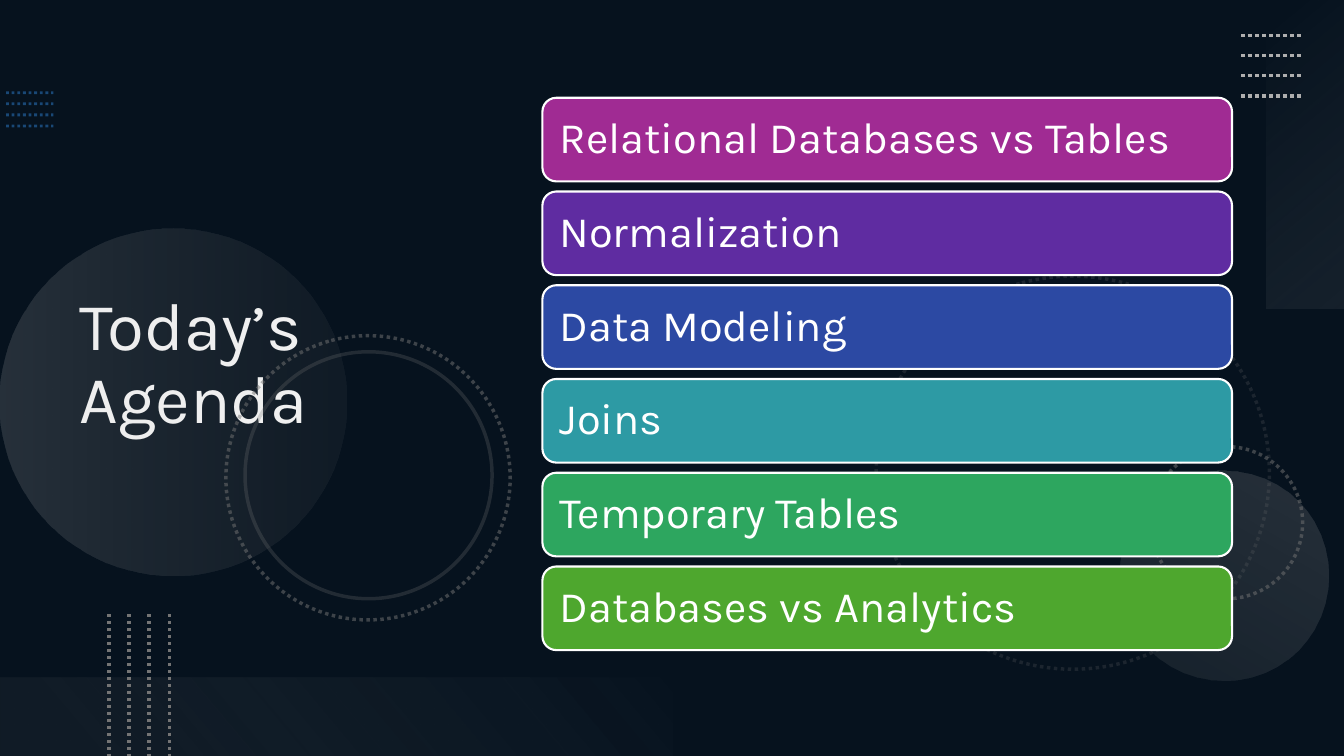
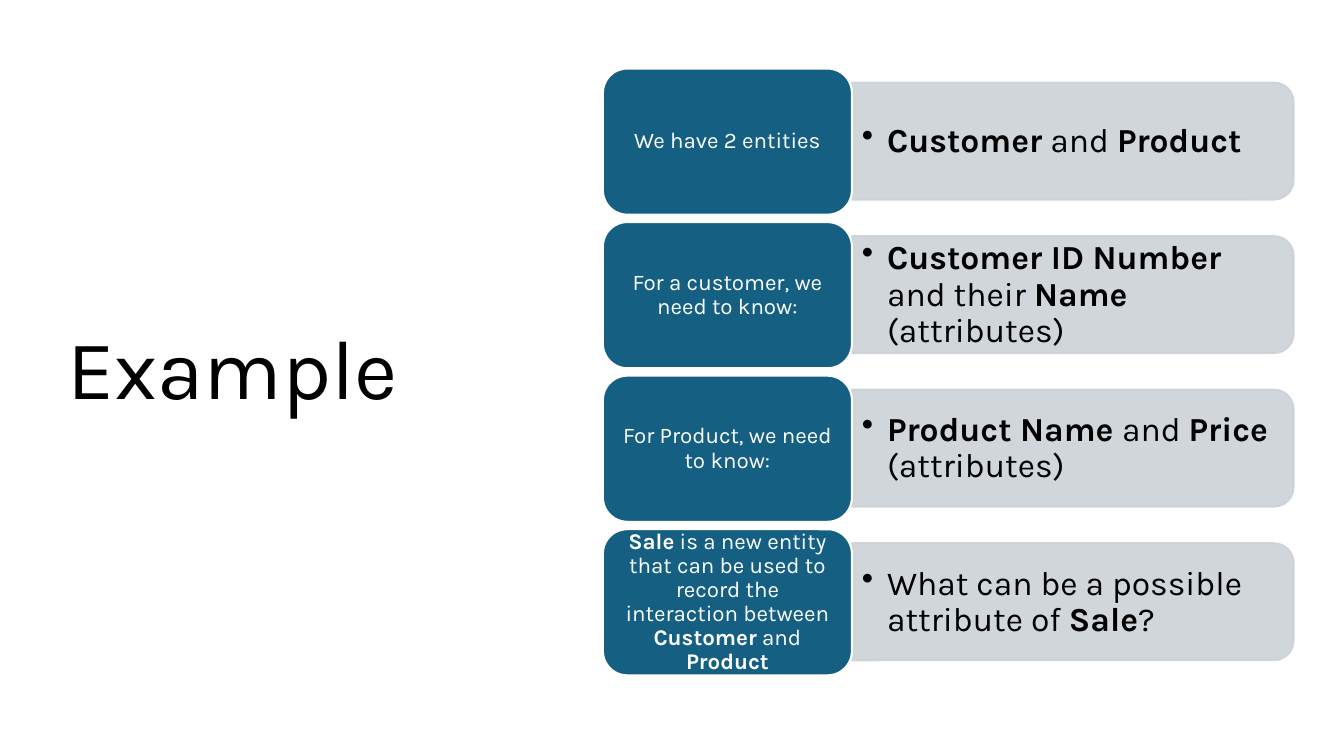
"""Build a dark agenda slide and a light worked-example slide about databases."""
from lxml import etree
from pptx import Presentation
from pptx.dml.color import RGBColor
from pptx.enum.dml import MSO_LINE
from pptx.enum.shapes import MSO_CONNECTOR, MSO_SHAPE
from pptx.enum.text import MSO_ANCHOR, PP_ALIGN
from pptx.oxml.ns import qn
from pptx.util import Inches, Pt

RECTANGLE, ELLIPSE = MSO_SHAPE.RECTANGLE, MSO_SHAPE.OVAL
ROUNDED, ROUNDED_TOP = MSO_SHAPE.ROUNDED_RECTANGLE, MSO_SHAPE.ROUND_2_SAME_RECTANGLE
STRAIGHT, DOTTED, SOLID = MSO_CONNECTOR.STRAIGHT, MSO_LINE.ROUND_DOT, MSO_LINE.SOLID
MIDDLE, LEFT, CENTER = MSO_ANCHOR.MIDDLE, PP_ALIGN.LEFT, PP_ALIGN.CENTER

FONT = "Karla"
WHITE = RGBColor(0xFF, 0xFF, 0xFF)
BLACK = RGBColor(0x00, 0x00, 0x00)
NAVY = RGBColor(0x0E, 0x28, 0x41)
BLUE = RGBColor(0x2D, 0x7F, 0xCF)
GRAY = RGBColor(0x74, 0x74, 0x74)
SILVER = RGBColor(0xAE, 0xAE, 0xAE)
PALE = RGBColor(0xF6, 0xF6, 0xF6)
TEAL = RGBColor(0x15, 0x60, 0x82)
MIST = RGBColor(0xCC, 0xD2, 0xD8)


def set_opacity(shape, *percents):
    """Give the shape's colours, in fill-then-line order, these opacities."""
    colors = shape._element.spPr.iter(qn("a:srgbClr"))
    for color, percent in zip(colors, percents):
        etree.SubElement(color, qn("a:alpha"), val=str(percent * 1000))


def write_text(shape, text, size, color, align=LEFT, margins=(0.1, 0.05), bullet=False):
    """Fill the shape with one paragraph; parts between ** marks are bold."""
    frame = shape.text_frame
    frame.word_wrap = True
    frame.vertical_anchor = MIDDLE
    frame.margin_left = frame.margin_right = Inches(margins[0])
    frame.margin_top = frame.margin_bottom = Inches(margins[1])
    paragraph = frame.paragraphs[0]
    paragraph.alignment = align
    paragraph.line_spacing = 0.9
    if bullet:
        properties = paragraph._p.get_or_add_pPr()
        properties.set("marL", str(Inches(0.25)))
        properties.set("indent", str(-Inches(0.25)))
        etree.SubElement(properties, qn("a:buChar"), char="•")
    paragraph.font.name = FONT
    paragraph.font.size = Pt(size)
    paragraph.font.color.rgb = color
    for index, part in enumerate(text.split("**")):
        if part:
            run = paragraph.add_run()
            run.text = part
            if index % 2:
                run.font.bold = True


presentation = Presentation()
presentation.slide_width = Inches(13.33)
presentation.slide_height = Inches(7.5)
blank = presentation.slide_layouts[6]

titles = [
    ("Today’s Agenda", 48, WHITE, NAVY, (0.69, 0.54, 4.59, 6.17)),
    ("Example", 60, BLACK, WHITE, (0.57, 0.68, 4.16, 6.02)),
]
for title, size, color, background, box in titles:
    slide = presentation.slides.add_slide(blank)
    slide.background.fill.solid()
    slide.background.fill.fore_color.rgb = background
    if background == NAVY:
        shade = slide.shapes.add_shape(RECTANGLE, 0, 0, presentation.slide_width, presentation.slide_height)
        shade.shadow.inherit = False
        shade.fill.solid()
        shade.fill.fore_color.rgb = BLACK
        shade.line.fill.background()
        set_opacity(shade, 53)
    title_box = slide.shapes.add_textbox(*map(Inches, box))
    write_text(title_box, title, size, color)

agenda, example = presentation.slides

glows = [
    (ELLIPSE, (0, 2.27, 3.44, 3.44), 270, 90, (0, SILVER, 20), (1, GRAY, 10)),
    (ELLIPSE, (11.1, 4.67, 2.08, 2.08), 210, 90, (0, SILVER, 10), (1, SILVER, 20)),
    (RECTANGLE, (11.42, 1.14, 3.06, 0.78), 270, 140, (0, PALE, 0), (1, SILVER, 10)),
    (RECTANGLE, (0, 6.72, 6.67, 0.78), 180, 140, (0.1, GRAY, 10), (1, PALE, 0)),
]
for kind, box, rotation, angle, *stops in glows:
    glow = agenda.shapes.add_shape(kind, *map(Inches, box))
    glow.shadow.inherit = False
    glow.rotation = rotation
    glow.fill.gradient()
    glow.fill.gradient_angle = 360 - angle
    for gradient_stop, (position, color, opacity) in zip(glow.fill.gradient_stops, stops):
        gradient_stop.position = position
        gradient_stop.color.rgb = color
    glow.line.fill.background()
    set_opacity(glow, *(opacity for position, color, opacity in stops))

rings = [
    (8.69, 2.74, 3.9, 75, DOTTED, 20),
    (11.41, 4.43, 1.51, 270, DOTTED, 50),
    (2.24, 3.33, 2.82, 75, DOTTED, 50),
    (2.43, 3.49, 2.45, 75, SOLID, 25),
]
for left, top, diameter, rotation, dash, opacity in rings:
    ring = agenda.shapes.add_shape(ELLIPSE, *map(Inches, (left, top, diameter, diameter)))
    ring.shadow.inherit = False
    ring.rotation = rotation
    ring.fill.background()
    ring.line.color.rgb = GRAY
    ring.line.width = Pt(2.5)
    ring.line.dash_style = dash
    set_opacity(ring, opacity)

dotted_groups = [
    ((0.06, 0.92, 0.53, 0.92), (0, 0.11), BLUE, 2, 50),
    ((12.31, 0.35, 12.91, 0.35), (0, 0.2), SILVER, 2.5, 100),
    ((1.08, 6.09, 1.08, 7.5), (0.2, 0), GRAY, 2.5, 100),
]
for ends, step, color, width, opacity in dotted_groups:
    for index in range(4):
        points = [end + index * shift for end, shift in zip(ends, step * 2)]
        line = agenda.shapes.add_connector(STRAIGHT, *map(Inches, points))
        line.line.color.rgb = color
        line.line.width = Pt(width)
        line.line.dash_style = DOTTED
        set_opacity(line, opacity)
        etree.SubElement(line._element.spPr, qn("a:effectLst"))

topics = [
    ("Relational Databases vs Tables", RGBColor(0xA0, 0x2B, 0x93)),
    ("Normalization", RGBColor(0x5F, 0x2C, 0xA1)),
    ("Data Modeling", RGBColor(0x2C, 0x49, 0xA3)),
    ("Joins", RGBColor(0x2D, 0x9A, 0xA4)),
    ("Temporary Tables", RGBColor(0x2D, 0xA6, 0x5F)),
    ("Databases vs Analytics", RGBColor(0x4E, 0xA7, 0x2E)),
]
for index, (topic, color) in enumerate(topics):
    bar = agenda.shapes.add_shape(ROUNDED, Inches(5.38), Inches(0.97 + 0.93 * index), Inches(6.84), Inches(0.83))
    bar.shadow.inherit = False
    bar.fill.solid()
    bar.fill.fore_color.rgb = color
    bar.line.color.rgb = WHITE
    bar.line.width = Pt(1.5)
    write_text(bar, topic, 31, WHITE, margins=(0.13, 0.13))

entity_rows = [
    ("We have 2 entities", "**Customer** and **Product**"),
    ("For a customer, we need to know:", "**Customer ID Number **and their **Name **(attributes)"),
    ("For Product, we need to know:", "**Product Name **and **Price** (attributes)"),
    (
        "**Sale** is a new entity that can be used to record the interaction between **Customer** and **Product**",
        "What can be a possible attribute of **Sale**?",
    ),
]
for index, (prompt, answer) in enumerate(entity_rows):
    top = 0.68 + 4.57 / 3 * index
    band = example.shapes.add_shape(ROUNDED_TOP, Inches(10.06), Inches(top - 1.47), Inches(1.16), Inches(4.38))
    band.rotation = 90
    card = example.shapes.add_shape(ROUNDED, Inches(5.98), Inches(top), Inches(2.47), Inches(1.45))
    for shape, fill, outline in ((band, MIST, MIST), (card, TEAL, WHITE)):
        shape.shadow.inherit = False
        shape.fill.solid()
        shape.fill.fore_color.rgb = fill
        shape.line.color.rgb = outline
        shape.line.width = Pt(1.5)
    set_opacity(band, 90, 90)
    write_text(card, prompt, 16, WHITE, CENTER, margins=(0.07, 0.03))
    answer_box = example.shapes.add_textbox(Inches(8.45), Inches(top + 0.2), Inches(4.33), Inches(1.05))
    write_text(answer_box, answer, 24, BLACK, bullet=True)

presentation.save("out.pptx")
